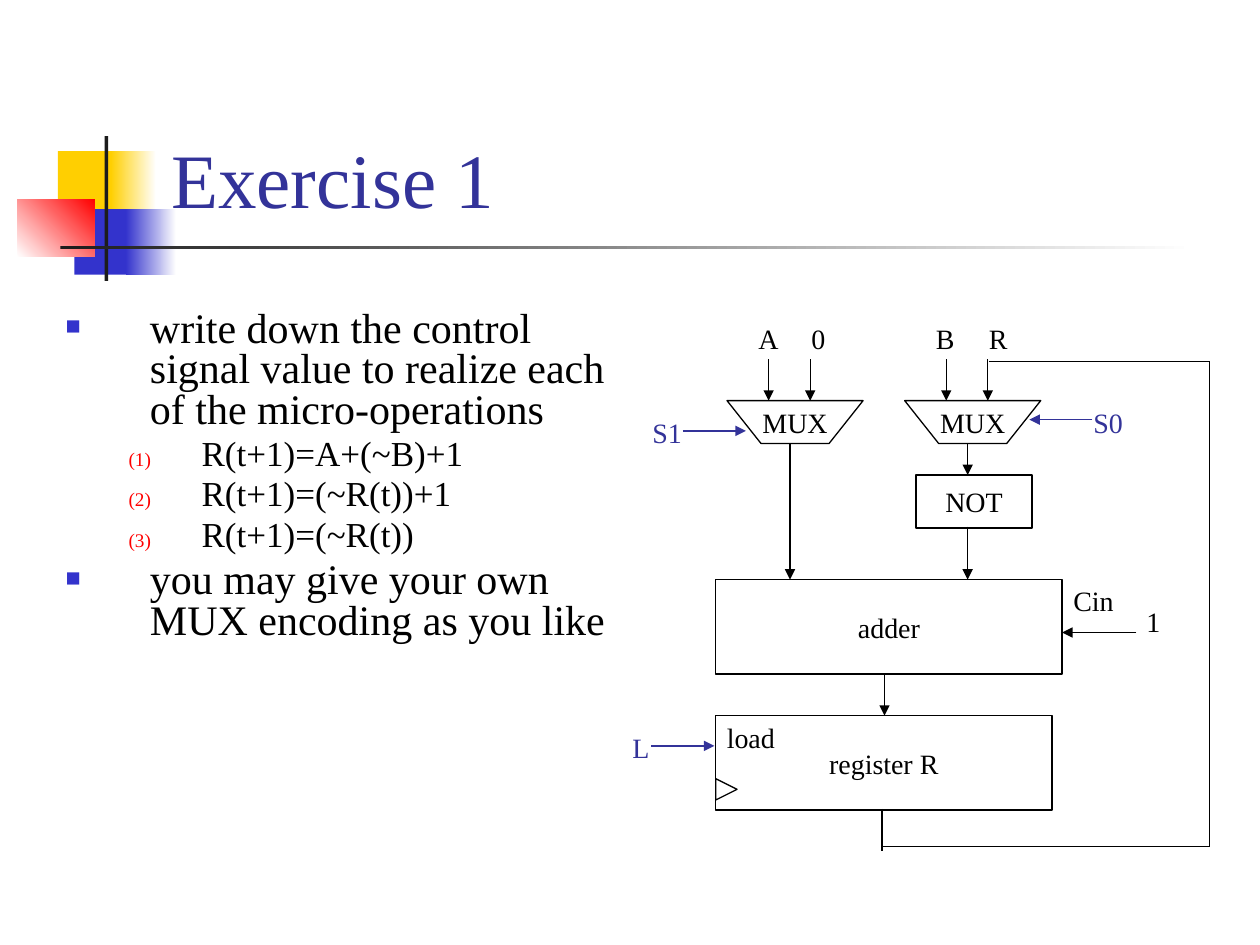
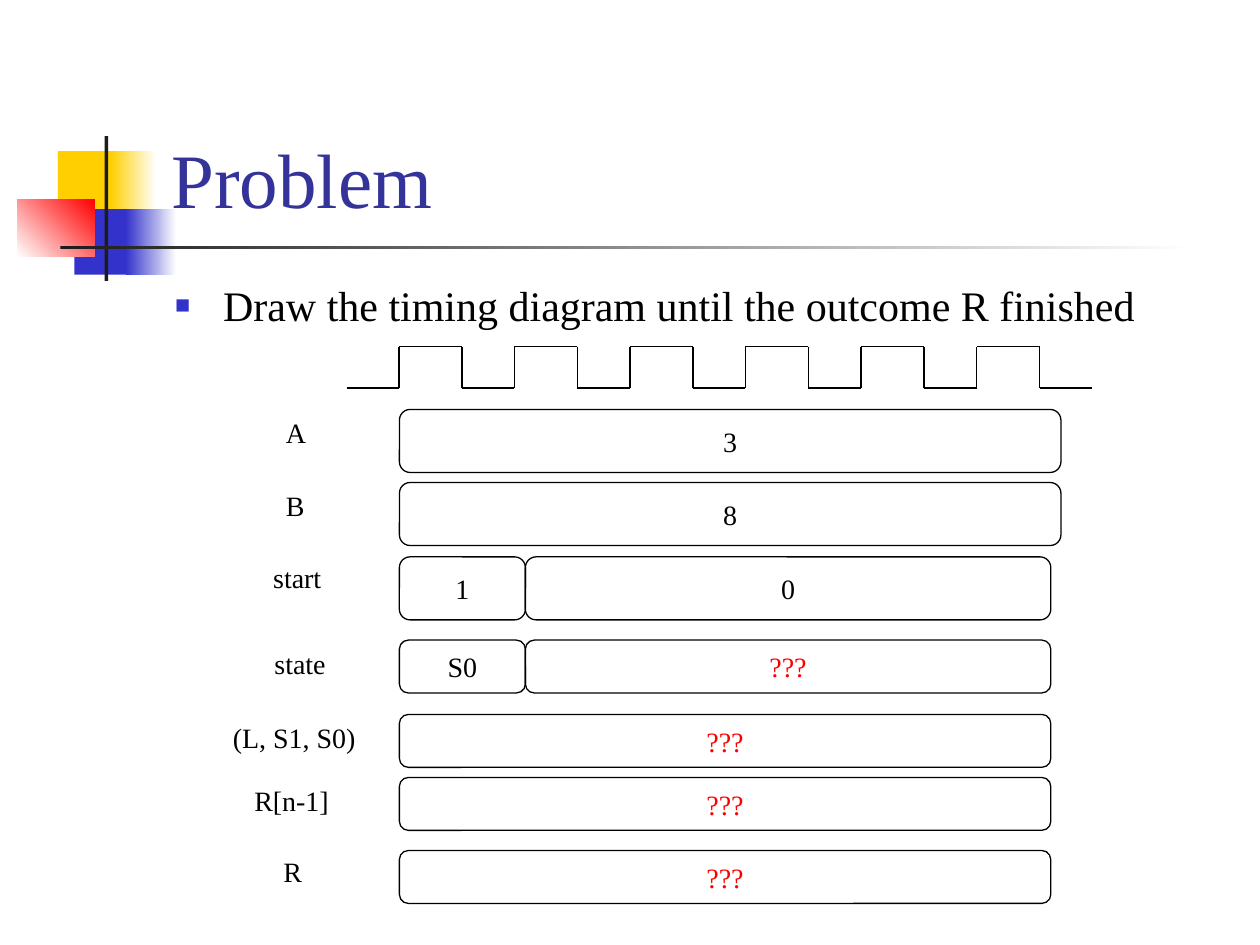
from itertools import pairwise

from lxml.etree import SubElement
from pptx import Presentation
from pptx.dml.color import RGBColor
from pptx.enum.shapes import MSO_CONNECTOR as Connector, MSO_SHAPE as Shape
from pptx.enum.text import MSO_ANCHOR as Anchor, MSO_AUTO_SIZE as AutoSize, PP_ALIGN as Align
from pptx.oxml.ns import qn
from pptx.util import Inches, Pt

COLORS = {
    "black": "000000", "white": "FFFFFF", "charcoal": "1C1C1C", "yellow": "FFCF01",
    "blue": "3333CC", "navy": "333399", "red": "FF0000",
}
FONT = "Times New Roman"
LABEL_SIZE = 16
LINE_WIDTH = 0.75

# Motif blocks: box, colours (two make a gradient), gradient angle
MOTIF = [
    ((0.46, 1.2, 0.48, 0.52), ["yellow"], 0),
    ((0.88, 1.2, 0.36, 0.52), ["yellow", "white"], 0),
    ((0.59, 1.66, 0.46, 0.52), ["blue"], 0),
    ((1, 1.66, 0.4, 0.52), ["blue", "white"], 0),
    ((0.14, 1.58, 0.61, 0.46), ["white", "red"], 45),
    ((0.83, 1.08, 0.03, 1.15), ["charcoal"], 0),
    ((0.48, 1.95, 9, 0.03), ["charcoal", "white"], 0),
]
TITLE_BOX = (1.26, 0.23, 8.52, 1.6)
TITLE_FRAME = {"vertical_anchor": Anchor.BOTTOM, "auto_size": AutoSize.NONE, "word_wrap": True}
BODY_FRAME = {"vertical_anchor": Anchor.TOP, "auto_size": AutoSize.NONE, "word_wrap": True}
LABEL_FRAME = {"word_wrap": False, "auto_size": AutoSize.SHAPE_TO_FIT_TEXT}
NODE_FRAME = {"word_wrap": False, "vertical_anchor": Anchor.MIDDLE}

# List styles: margin and hanging indent in inches, bullet size in percent
SQUARE = {"level": 0, "size": 24, "margin": 0.67, "hang": 0.67, "color": "blue",
          "percent": 60, "bullet": ("a:buChar", {"char": "■"})}
NUMBER = {"level": 1, "size": 20, "margin": 1.08, "hang": 0.58, "color": "red",
          "percent": 55, "bullet": ("a:buAutoNum", {"type": "arabicParenBoth"})}
TIGHT_SQUARE = SQUARE | {"margin": 0.38, "hang": 0.38}

# Timing rows: label, label left, top, width; row top, height; cells as value, left, width, colour
TIMING_ROWS = [
    (("A", 2.17, 3.25, 0.36), 3.25, 0.5, [("3", 3.17, 5.25, "black")]),
    (("B", 2.17, 3.83, 0.35), 3.83, 0.5, [("8", 3.17, 5.25, "black")]),
    (("start", 2.07, 4.4, 0.59), 4.42, 0.5,
     [("1", 3.17, 1, "black"), ("0", 4.17, 4.17, "black")]),
    (("state", 2.08, 5.08, 0.61), 5.08, 0.42,
     [("S0", 3.17, 1, "black"), ("???", 4.17, 4.17, "red")]),
    (("(L, S1, S0)", 1.75, 5.67, 1.18), 5.67, 0.42, [("???", 3.17, 5.17, "red")]),
    (("R[n-1]", 1.92, 6.17, 0.8), 6.17, 0.42, [("???", 3.17, 5.17, "red")]),
    (("R", 2.15, 6.73, 0.35), 6.75, 0.42, [("???", 3.17, 5.17, "red")]),
]


def rgb(color):
    return RGBColor.from_string(COLORS[color])


def inches(*values):
    return [Inches(value) for value in values]


def set_values(target, values):
    for name, value in values.items():
        setattr(target, name, value)


def place(shape, box):
    set_values(shape, dict(zip(("left", "top", "width", "height"), inches(*box))))


def write(paragraph, text, size=LABEL_SIZE, color="black"):
    run = paragraph.add_run()
    run.text = text
    set_values(run.font, {"name": FONT, "size": Pt(size)})
    run.font.color.rgb = rgb(color)


def add_xml(parent, tag, **attributes):
    return SubElement(parent, qn(tag), attributes)


# Shared slide parts
def add_motif(layout, slide):
    """Build the motif on a slide and move it to the layout."""
    for number, (box, colors, angle) in enumerate(MOTIF, start=20):
        block = slide.shapes.add_shape(Shape.RECTANGLE, *inches(*box))
        block.shadow.inherit = False
        block.line.fill.background()
        if len(colors) == 1:
            block.fill.solid()
            block.fill.fore_color.rgb = rgb(colors[0])
        else:
            block.fill.gradient()
            block.fill.gradient_angle = angle
            for stop, color in zip(block.fill.gradient_stops, colors):
                stop.color.rgb = rgb(color)
        block.element.nvSpPr.cNvPr.id = number
        layout.shapes.element.append(block.element)


def set_title(slide, text):
    title = slide.shapes.title
    place(title, TITLE_BOX)
    set_values(title.text_frame, TITLE_FRAME)
    paragraph = title.text_frame.paragraphs[0]
    paragraph.alignment = Align.LEFT
    write(paragraph, text, 44, "navy")


def set_list(slide, box, items, line_spacing):
    body = slide.placeholders[1]
    place(body, box)
    frame = body.text_frame
    set_values(frame, BODY_FRAME)
    for index, (text, style) in enumerate(items):
        paragraph = frame.add_paragraph() if index else frame.paragraphs[0]
        set_values(paragraph, {"level": style["level"], "line_spacing": line_spacing})
        write(paragraph, text, style["size"])
        properties = paragraph._p.get_or_add_pPr()
        properties.set("marL", str(Inches(style["margin"])))
        properties.set("indent", str(-Inches(style["hang"])))
        add_xml(add_xml(properties, "a:spcBef"), "a:spcPct", val="20000")
        add_xml(add_xml(properties, "a:buClr"), "a:srgbClr", val=COLORS[style["color"]])
        add_xml(properties, "a:buSzPct", val=str(style["percent"] * 1000))
        add_xml(properties, "a:buFont", typeface=FONT)
        tag, attributes = style["bullet"]
        add_xml(properties, tag, **attributes)


# Diagram elements
def add_label(slide, text, left, top, width, color="black"):
    label = slide.shapes.add_textbox(*inches(left, top, width, 0.37))
    set_values(label.text_frame, LABEL_FRAME)
    write(label.text_frame.paragraphs[0], text, color=color)


def style_node(shape, text="", color="black"):
    shape.shadow.inherit = False
    shape.fill.background()
    shape.line.color.rgb = rgb("black")
    shape.line.width = Pt(LINE_WIDTH)
    if text:
        set_values(shape.text_frame, NODE_FRAME)
        paragraph = shape.text_frame.paragraphs[0]
        paragraph.alignment = Align.CENTER
        write(paragraph, text, color=color)


def add_node(slide, kind, box, text="", color="black"):
    node = slide.shapes.add_shape(kind, *inches(*box))
    style_node(node, text, color)
    return node


def add_line(slide, start, end, color="black", arrow=False):
    line = slide.shapes.add_connector(Connector.STRAIGHT, *inches(*start, *end))
    line.line.color.rgb = rgb(color)
    line.line.width = Pt(LINE_WIDTH)
    properties = line.element.spPr
    if arrow:
        add_xml(properties.find(qn("a:ln")), "a:tailEnd", type="triangle")
    add_xml(properties, "a:effectLst")


def add_arrow(slide, start, end, color="black"):
    add_line(slide, start, end, color, arrow=True)


def add_wire(slide, points):
    for start, end in pairwise(points):
        add_line(slide, start, end)


def add_mux(slide, left, inputs):
    top, bottom = 3.18, 3.52
    corners = [(left, top), (left + 0.27, bottom), (left + 0.81, bottom), (left + 1.08, top)]
    points = [tuple(inches(*corner)) for corner in corners]
    builder = slide.shapes.build_freeform(*points[0])
    builder.add_line_segments(points[1:], close=True)
    style_node(builder.convert_to_shape(), "MUX")
    for index, (text, width) in enumerate(inputs):
        x = left + 0.33 * (index + 1)
        add_arrow(slide, (x, 2.85), (x, top))
        add_label(slide, text, left + 0.15 + 0.42 * index, 2.5, width)


# Slides
def fill_exercise(slide):
    set_title(slide, "Exercise 1")
    set_list(slide, (0.42, 2.42, 4.58, 2.83), [
        ("write down the control signal value to realize each of the micro-operations", SQUARE),
        ("R(t+1)=A+(~B)+1", NUMBER),
        ("R(t+1)=(~R(t))+1", NUMBER),
        ("R(t+1)=(~R(t))", NUMBER),
        ("you may give your own MUX encoding as you like", SQUARE),
    ], 0.8)

    # Data path
    add_mux(slide, 5.77, [("A", 0.36), ("0", 0.31)])
    add_mux(slide, 7.18, [("B", 0.35), ("R", 0.35)])
    add_node(slide, Shape.RECTANGLE, (7.27, 3.77, 0.92, 0.42), "NOT")
    add_node(slide, Shape.RECTANGLE, (5.68, 4.6, 2.75, 0.75), "adder")
    add_node(slide, Shape.RECTANGLE, (5.68, 5.68, 2.67, 0.75), "register R")
    clock_input = add_node(slide, Shape.ISOSCELES_TRIANGLE, (5.68, 6.18, 0.17, 0.17))
    clock_input.rotation = 90
    for x, top, bottom in [(6.27, 3.52, 4.6), (7.68, 3.52, 3.77),
                           (7.68, 4.18, 4.6), (7.02, 5.35, 5.68)]:
        add_arrow(slide, (x, top), (x, bottom))
    add_arrow(slide, (9.02, 5.02), (8.43, 5.02))
    add_label(slide, "Cin", 8.42, 4.58, 0.52)
    add_label(slide, "1", 9, 4.75, 0.31)
    add_label(slide, "load", 5.67, 5.67, 0.59)

    # Feedback from the register
    add_line(slide, (7, 6.42), (7, 6.75))
    add_wire(slide, [(7.85, 2.87), (9.6, 2.87), (9.6, 6.72), (7, 6.72)])

    # Control signals
    for text, left, top, width, start, end, y in [
        ("L", 4.92, 5.75, 0.34, 5.17, 5.67, 5.92),
        ("S1", 5.08, 3.25, 0.44, 5.42, 5.92, 3.42),
        ("S0", 8.58, 3.17, 0.44, 8.67, 8.17, 3.33),
    ]:
        add_arrow(slide, (start, y), (end, y), "navy")
        add_label(slide, text, left, top, width, "navy")


def fill_problem(slide):
    set_title(slide, "Problem")
    set_list(slide, (1.29, 2.21, 8.5, 0.54),
             [("Draw the timing diagram until the outcome R finished", TIGHT_SQUARE)], 0.9)

    # Clock
    low, high, pulse, gap = 3.08, 2.75, 0.5, 5 / 12
    x = 2.75
    points = [(x, low)]
    for _ in range(6):
        rise, fall = x + gap, x + gap + pulse
        points += [(rise, low), (rise, high), (fall, high), (fall, low)]
        x = fall
    add_wire(slide, points + [(x + gap, low)])

    # Signals
    for label, top, height, cells in TIMING_ROWS:
        add_label(slide, *label)
        for value, left, width, color in cells:
            cell = add_node(slide, Shape.ROUNDED_RECTANGLE, (left, top, width, height),
                            value, color)
            cell.adjustments[0] = 0.17


def main():
    presentation = Presentation()
    presentation.slide_width, presentation.slide_height = inches(10, 7.5)
    layout = presentation.slide_layouts[1]
    exercise, problem = [presentation.slides.add_slide(layout) for _ in range(2)]
    add_motif(layout, exercise)
    fill_exercise(exercise)
    fill_problem(problem)
    presentation.save("out.pptx")


if __name__ == "__main__":
    main()
